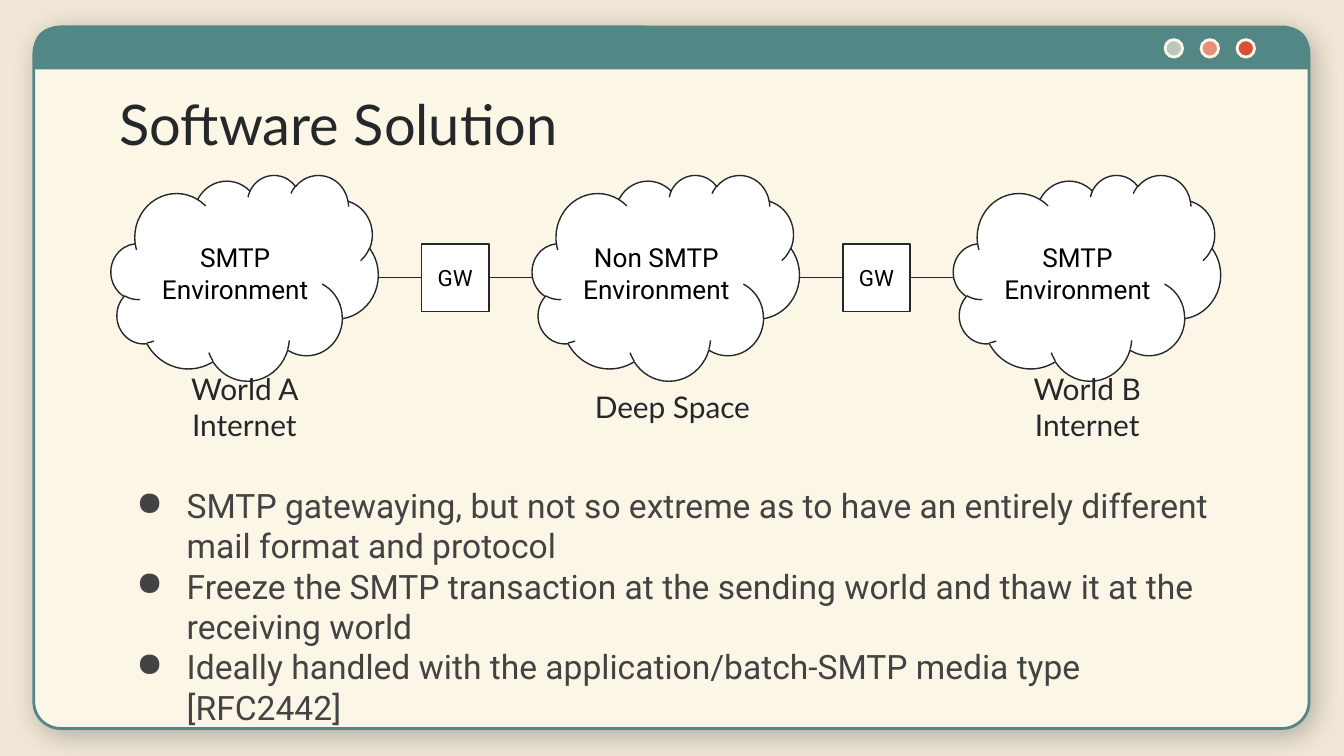
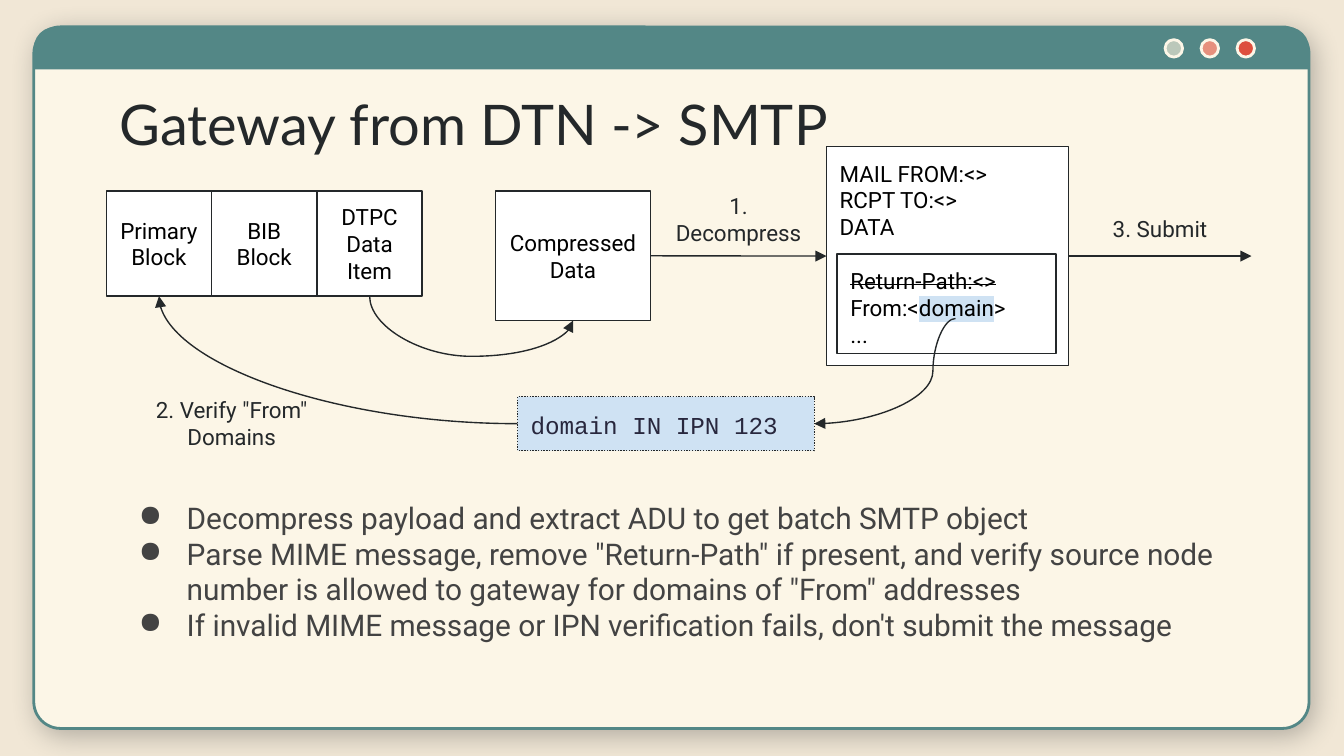
from lxml.etree import SubElement
from pptx import Presentation
from pptx.dml.color import RGBColor
from pptx.enum.dml import MSO_LINE
from pptx.enum.shapes import MSO_CONNECTOR as LINK, MSO_SHAPE as SHAPE
from pptx.enum.text import MSO_ANCHOR as ANCHOR, PP_ALIGN as ALIGN
from pptx.oxml.ns import qn
from pptx.util import Cm, Pt

SAND = RGBColor(0xF1, 0xE7, 0xD6)
CREAM = RGBColor(0xFC, 0xF6, 0xE7)
TEAL = RGBColor(0x53, 0x87, 0x86)
INK = RGBColor(0x24, 0x28, 0x2A)
GRAY = RGBColor(0x43, 0x43, 0x43)
NAVY = RGBColor(0x28, 0x27, 0x3D)
SKY = RGBColor(0xCF, 0xE2, 0xF3)
WHITE = RGBColor(0xFF, 0xFF, 0xFF)
BLACK = RGBColor(0, 0, 0)
BUTTONS = [RGBColor(0xBB, 0xC8, 0xBA), RGBColor(0xE6, 0x90, 0x7D), RGBColor(0xDD, 0x4F, 0x3D)]

SOLUTION = {
    "title": "Software Solution",
    "worlds": [
        ("SMTP Environment", "World A Internet", 2.36, 4.52),
        ("Non SMTP Environment", "Deep Space", 10.87, 3.68),
        ("SMTP Environment", "World B Internet", 18.29, 4.52),
    ],
    "gateway": "GW",
    "points": [
        "SMTP gatewaying, but not so extreme as to have an entirely different mail format and protocol",
        "Freeze the SMTP transaction at the sending world and thaw it at the receiving world",
        "Ideally handled with the application/batch-SMTP media type [RFC2442]",
    ],
}
GATEWAY = {
    "title": "Gateway from DTN -> SMTP",
    "blocks": ["Primary Block", "BIB Block", "DTPC Data Item"],
    "payload": "Compressed Data",
    "envelope": "MAIL FROM:<>\nRCPT TO:<>\nDATA\n",
    "headers": [
        [("Return-Path:<>", "strike")],
        [("From:<", ""), ("domain", "highlight"), (">", "")],
        [("...", "")],
    ],
    "record": "domain IN IPN 123",
    "steps": [
        ("1. Decompress", (12.5, 3.38, 2.92, 1.55)),
        ('2. Verify "From" Domains', (2.46, 7.24, 3.84, 1.55)),
        ("3. Submit", (20.68, 3.81, 2.49, 1.02)),
    ],
    "points": [
        "Decompress payload and extract ADU to get batch SMTP object",
        'Parse MIME message, remove "Return-Path" if present, and verify source node number '
        'is allowed to gateway for domains of "From" addresses',
        "If invalid MIME message or IPN verification fails, don't submit the message",
    ],
}


def style(paragraph, size, color, face="Roboto", align=ALIGN.LEFT):
    paragraph.alignment = align
    paragraph.font.size = Pt(size)
    paragraph.font.name = face
    paragraph.font.color.rgb = color


def prepare(shape, anchor):
    frame = shape.text_frame
    frame.word_wrap = True
    frame.vertical_anchor = anchor
    frame.margin_left = frame.margin_right = frame.margin_top = frame.margin_bottom = Cm(0.25)
    return frame


def add_text(slide, box, text, size, color=INK, face="Roboto", align=ALIGN.CENTER, anchor=ANCHOR.TOP):
    frame = prepare(slide.shapes.add_textbox(*map(Cm, box)), anchor)
    frame.paragraphs[0].text = text
    style(frame.paragraphs[0], size, color, face, align)


def add_points(slide, box, points, size, hanging):
    frame = prepare(slide.shapes.add_textbox(*map(Cm, box)), ANCHOR.TOP)
    for i, point in enumerate(points):
        paragraph = frame.add_paragraph() if i else frame.paragraphs[0]
        paragraph.text = point
        props = paragraph._p.get_or_add_pPr()
        props.set("marL", str(Cm(1.27)))
        props.set("indent", str(-Cm(hanging)))
        SubElement(SubElement(props, qn("a:buClr")), qn("a:srgbClr"), val=str(GRAY))
        SubElement(props, qn("a:buChar"), char="●")
        style(paragraph, size, GRAY)


def add_figure(slide, kind, box, fill, line=INK, width=0.75):
    figure = slide.shapes.add_shape(kind, *map(Cm, box))
    figure.shadow.inherit = False
    figure.fill.solid()
    figure.fill.fore_color.rgb = fill
    figure.line.color.rgb = line
    figure.line.width = Pt(width)
    return figure


def add_node(slide, box, text, size=12, kind=SHAPE.RECTANGLE, fill=WHITE, color=BLACK,
             face="Roboto", align=ALIGN.CENTER, anchor=ANCHOR.MIDDLE):
    node = add_figure(slide, kind, box, fill)
    paragraph = prepare(node, anchor).paragraphs[0]
    paragraph.text = text
    style(paragraph, size, color, face, align)
    return node


def add_link(slide, start, end, kind=LINK.STRAIGHT, arrow=False):
    link = slide.shapes.add_connector(kind, *map(Cm, start + end))
    link.line.color.rgb = INK
    link.line.width = Pt(0.75)
    if arrow:
        SubElement(link.line._get_or_add_ln(), qn("a:tailEnd"), type="triangle")
    SubElement(link._element.spPr, qn("a:effectLst"))
    return link


def add_curve(slide, start, end, bend=None, upright=False):
    if upright:
        cx, cy = (start[0] + end[0]) / 2, (start[1] + end[1]) / 2
        dx, dy = (end[0] - start[0]) / 2, (end[1] - start[1]) / 2
        start, end = (cx + dy, cy - dx), (cx - dy, cy + dx)
    props = add_link(slide, start, end, LINK.CURVE, True)._element.spPr
    if upright:
        props.find(qn("a:xfrm")).set("rot", str(270 * 60000))
    outline = props.find(qn("a:prstGeom"))
    if bend is None:
        outline.set("prst", "curvedConnector2")
    else:
        guides = outline.find(qn("a:avLst"))
        SubElement(guides, qn("a:gd"), name="adj1", fmla=f"val {round(bend * 100000)}")


def add_window(deck, title):
    slide = deck.slides.add_slide(deck.slide_layouts[6])
    slide.background.fill.solid()
    slide.background.fill.fore_color.rgb = SAND
    window = add_figure(slide, SHAPE.ROUNDED_RECTANGLE, (0.64, 0.51, 24.1, 13.26), CREAM, TEAL, 1.5)
    window.adjustments[0] = 0.038
    shadow = SubElement(window._element.spPr.find(qn("a:effectLst")), qn("a:outerShdw"),
                        blurRad=str(Pt(14.6)), dist=str(Pt(3.8)), dir=str(50 * 60000),
                        algn="bl", rotWithShape="0")
    tint = SubElement(shadow, qn("a:srgbClr"), val=str(INK))
    SubElement(tint, qn("a:alpha"), val="30000")
    bar = add_figure(slide, SHAPE.ROUND_2_SAME_RECTANGLE, (0.64, 0.51, 24.1, 0.8), TEAL)
    bar.adjustments[0] = 0.5
    bar.line.fill.background()
    for i, color in enumerate(BUTTONS):
        add_figure(slide, SHAPE.OVAL, (22.02 + 0.68 * i, 0.75, 0.33, 0.33), color, CREAM, 1.5)
    add_text(slide, (2.01, 1.45, 21.41, 1.6), title, 30, face="Lato", align=ALIGN.LEFT)
    return slide


def build_solution(deck):
    slide = add_window(deck, SOLUTION["title"])
    left, pitch, width, height, middle, side = 2.1, 7.96, 5.05, 3.89, 5.25, 1.27
    gap = (pitch - width - side) / 2
    for i, (environment, place, place_left, place_width) in enumerate(SOLUTION["worlds"]):
        x = left + pitch * i
        add_node(slide, (x, middle - height / 2, width, height), environment, 14, SHAPE.CLOUD)
        add_text(slide, (place_left, 7.18, place_width, 1.02), place, 16, face="Lato", anchor=ANCHOR.MIDDLE)
        if i:
            gate_left = x - gap - side
            gate = add_node(slide, (gate_left, middle - side / 2, side, side), SOLUTION["gateway"])
            add_link(slide, (gate_left - gap, middle), (gate_left, middle)).end_connect(gate, 1)
            add_link(slide, (gate_left + side, middle), (x, middle)).begin_connect(gate, 3)
    add_points(slide, (2.01, 8.92, 21.59, 4.17), SOLUTION["points"], 18, 0.95)


def build_gateway(deck):
    slide = add_window(deck, GATEWAY["title"])
    left, top, side = 2.01, 3.61, 1.99
    for i, block in enumerate(GATEWAY["blocks"]):
        add_node(slide, (left + side * i, top, side, side), block)
    payload = add_node(slide, (9.37, top, 2.92, 2.45), GATEWAY["payload"])
    envelope = add_node(slide, (15.62, 2.77, 4.57, 4.14), GATEWAY["envelope"],
                        align=ALIGN.LEFT, anchor=ANCHOR.TOP)
    headers = prepare(add_figure(slide, SHAPE.RECTANGLE, (15.82, 4.8, 4.14, 1.88), WHITE), ANCHOR.TOP)
    for i, pieces in enumerate(GATEWAY["headers"]):
        paragraph = headers.add_paragraph() if i else headers.paragraphs[0]
        style(paragraph, 12, BLACK)
        for text, mark in pieces:
            run = paragraph.add_run()
            run.text = text
            props = run._r.get_or_add_rPr()
            if mark == "strike":
                props.set("strike", "sngStrike")
            elif mark == "highlight":
                SubElement(SubElement(props, qn("a:highlight")), qn("a:srgbClr"), val=str(SKY))
    record = add_node(slide, (9.78, 7.5, 5.61, 1.02), GATEWAY["record"], 13, fill=SKY, color=NAVY,
                      face="Courier New", align=ALIGN.LEFT, anchor=ANCHOR.TOP)
    record.line.dash_style = MSO_LINE.ROUND_DOT
    for step, box in GATEWAY["steps"]:
        add_text(slide, box, step, 12)

    decompress = add_link(slide, (12.29, 4.84), (15.62, 4.84), arrow=True)
    decompress.begin_connect(payload, 3)
    decompress.end_connect(envelope, 1)
    add_link(slide, (20.19, 4.84), (23.65, 4.84), arrow=True).begin_connect(envelope, 3)
    bottom = top + side
    add_curve(slide, (left + 2.5 * side, bottom), (10.83, 6.06), 2.47, upright=True)
    add_curve(slide, (18.06, 6.02), (15.39, 8.01), 0.16)
    add_curve(slide, (9.78, 8.01), (left + side / 2, bottom))
    add_points(slide, (2.01, 9.19, 21.41, 3.45), GATEWAY["points"], 16, 0.91)


def main():
    deck = Presentation()
    deck.slide_width, deck.slide_height = Cm(25.4), Cm(14.29)
    build_solution(deck)
    build_gateway(deck)
    deck.save("out.pptx")


if __name__ == "__main__":
    main()
